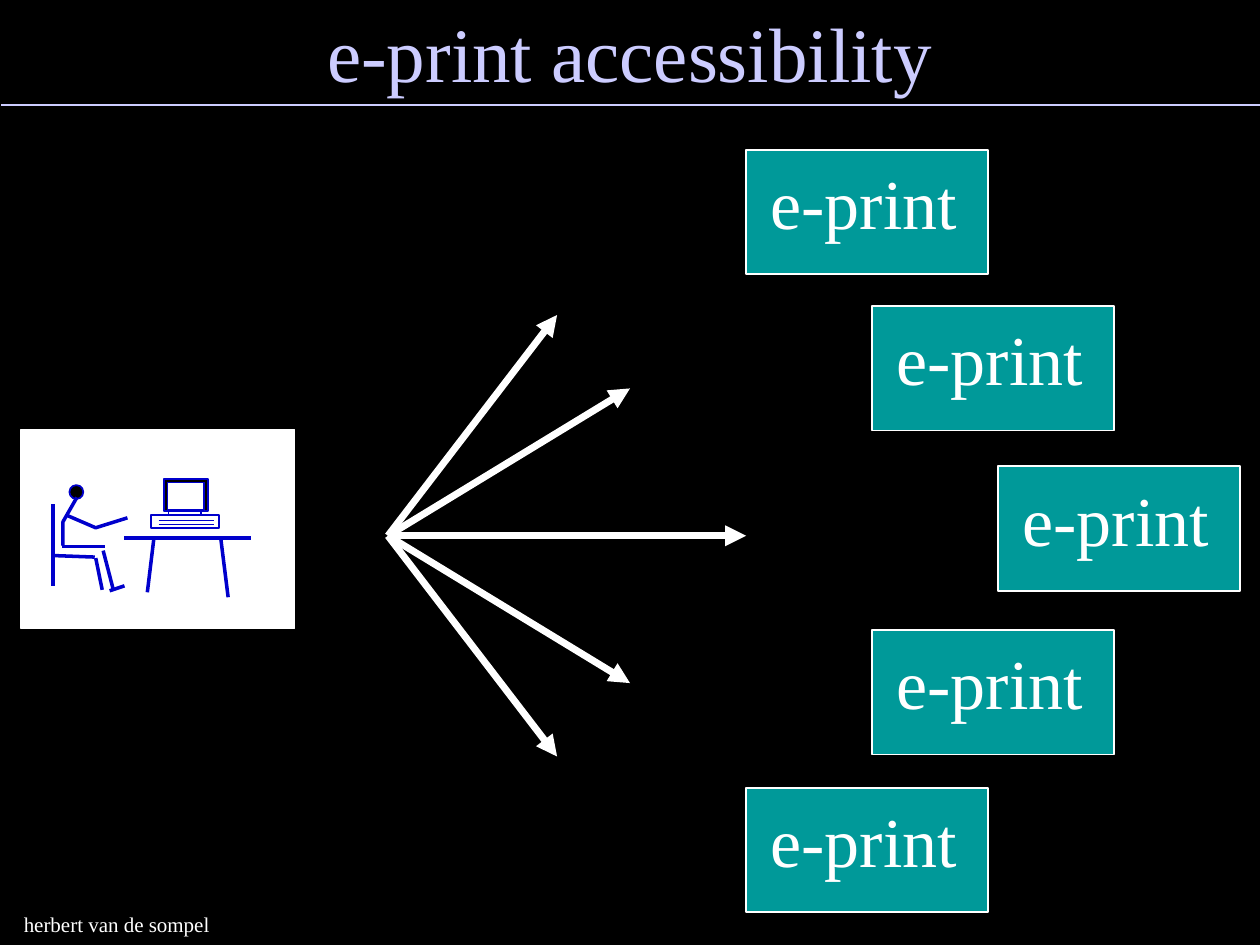
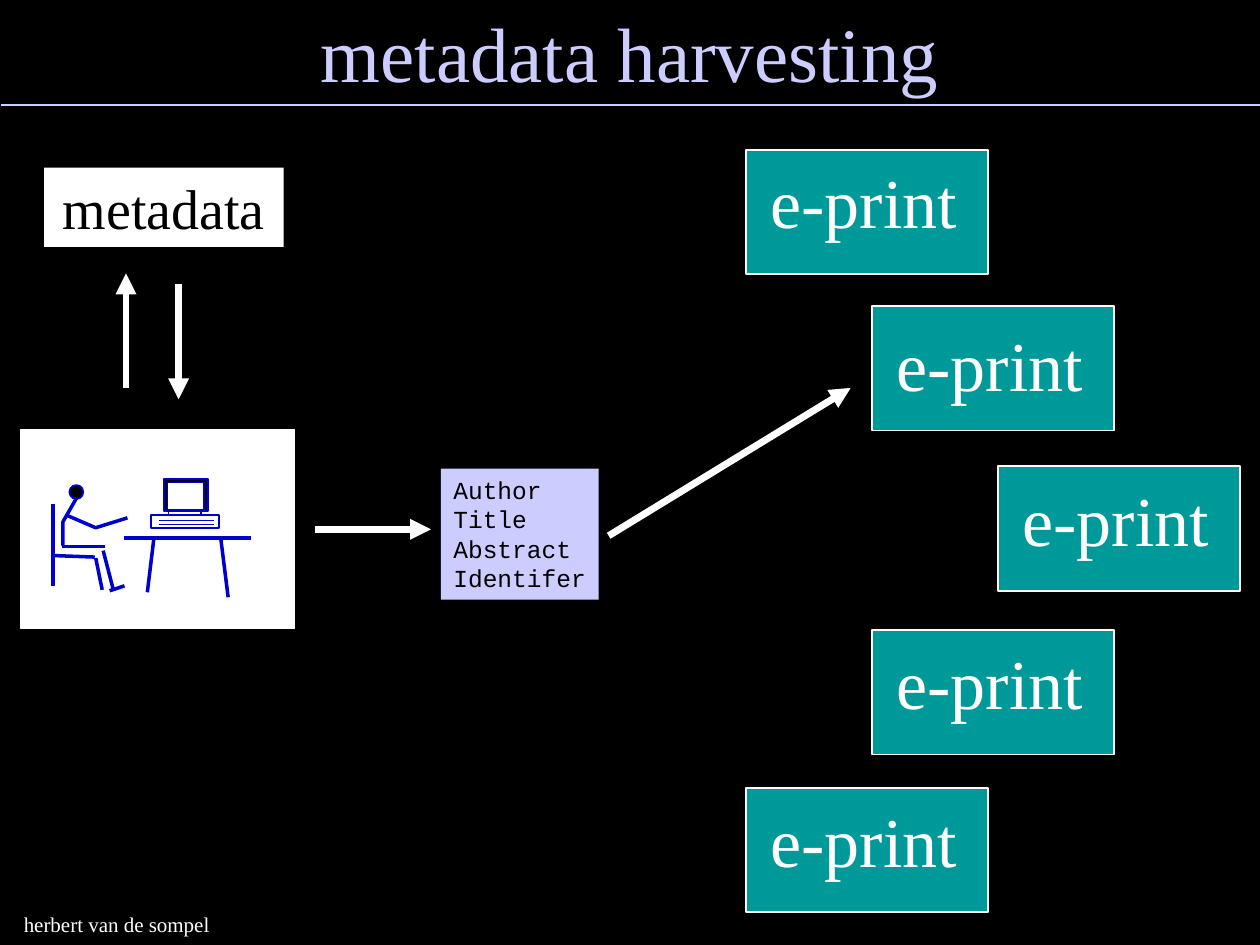
from lxml import etree
from pptx import Presentation
from pptx.dml.color import RGBColor
from pptx.enum.shapes import MSO_CONNECTOR, MSO_SHAPE
from pptx.enum.text import MSO_ANCHOR, PP_ALIGN
from pptx.oxml.ns import qn
from pptx.util import Cm, Pt

STRAIGHT = MSO_CONNECTOR.STRAIGHT
RECTANGLE, OVAL = MSO_SHAPE.RECTANGLE, MSO_SHAPE.OVAL
TOP, MIDDLE = MSO_ANCHOR.TOP, MSO_ANCHOR.MIDDLE
LEFT, CENTER = PP_ALIGN.LEFT, PP_ALIGN.CENTER

COLORS = {
    "black": "000000",
    "white": "FFFFFF",
    "lavender": "CCCCFF",
    "teal": "009999",
    "ink": "0000CC",
}
SERIF, MONO = "Times New Roman", "Courier New"

SLIDE_WIDTH, SLIDE_HEIGHT = 25.4, 19.05
EPRINT_WIDTH, EPRINT_HEIGHT = 4.88, 2.51
EPRINT_LEFT, EPRINT_STEP = 15.04, 2.54
EPRINT_TOPS = (3.02, 6.17, 9.4, 12.7, 15.88)
EPRINT_STEPS = (0, 1, 2, 1, 0)
FAN_ORIGIN = (7.82, 10.8)
FAN_REACH = ((3.41, -4.45), (4.88, -2.97), (7.22, 0), (4.88, 2.97), (3.41, 4.45))

# Rectangles of the computer: left, top, width, height, fill
COMPUTER_PARTS = (
    (3.4, 10.19, 0.66, 0.38, "white"),
    (3.05, 10.39, 1.37, 0.25, "white"),
    (3.3, 9.65, 0.89, 0.66, "black"),
    (3.38, 9.73, 0.74, 0.56, "white"),
)
KEYBOARD_LINES = (
    ((3.2, 10.49), (4.32, 10.49)),
    ((3.2, 10.57), (4.32, 10.57)),
)
DESK_LINES = (
    ((2.51, 10.85), (5.05, 10.85)),
    ((3.1, 10.87), (2.97, 11.94)),
    ((4.6, 12.04), (4.45, 10.85)),
)
CHAIR_LINES = (
    ((1.07, 10.16), (1.07, 11.81)),
    ((1.07, 11.2), (1.91, 11.23)),
    ((1.93, 11.25), (2.06, 11.89)),
)
LEG_LINES = (
    ((1.24, 11.02), (2.11, 11.02)),
    ((2.08, 11.1), (2.29, 11.91)),
    ((2.21, 11.91), (2.51, 11.81)),
)
TORSO = ((1.55, 10.03), (1.27, 10.52), (1.27, 11.0))
ARM = ((1.35, 10.39), (1.93, 10.64), (2.57, 10.44))


def rgb(color):
    return RGBColor.from_string(COLORS[color])


def set_line(shape, color, width):
    shape.line.color.rgb = rgb(color)
    shape.line.width = Pt(width)


def add_box(shapes, left, top, width, height, fill, line=None, kind=RECTANGLE):
    box = shapes.add_shape(kind, Cm(left), Cm(top), Cm(width), Cm(height))
    box.shadow.inherit = False
    box.fill.solid()
    box.fill.fore_color.rgb = rgb(fill)
    if line:
        set_line(box, line, 1)
    else:
        box.line.fill.background()
    return box


def write(shape, lines, size, color, align=LEFT, anchor=TOP, font=SERIF, wrap=True):
    frame = shape.text_frame
    frame.word_wrap = wrap
    frame.vertical_anchor = anchor
    frame.text = "\n".join(lines)
    for paragraph in frame.paragraphs:
        paragraph.alignment = align
        paragraph.font.name = font
        paragraph.font.size = Pt(size)
        paragraph.font.color.rgb = rgb(color)


def add_line(shapes, start, end, color, width, arrow=False):
    """Draw a straight line, with an arrowhead at its end if wanted."""
    points = [Cm(value) for value in (*start, *end)]
    line = shapes.add_connector(STRAIGHT, *points)
    set_line(line, color, width)
    if arrow:
        etree.SubElement(line.line._get_or_add_ln(), qn("a:tailEnd"), type="triangle")
    etree.SubElement(line._element.spPr, qn("a:effectLst"))


def add_arrow(slide, start, end):
    add_line(slide.shapes, start, end, "white", 4, arrow=True)


def add_polyline(shapes, points):
    first, *others = [(Cm(x), Cm(y)) for x, y in points]
    builder = shapes.build_freeform(*first)
    builder.add_line_segments(others, close=False)
    polyline = builder.convert_to_shape()
    polyline.shadow.inherit = False
    polyline.fill.background()
    set_line(polyline, "ink", 2)


def add_workstation(slide):
    """Draw a reader seated at a desk with a computer."""
    shapes = slide.shapes.add_group_shape().shapes
    add_box(shapes, 0.43, 8.66, 5.51, 4.01, "white", "white")
    for *bounds, fill in COMPUTER_PARTS:
        add_box(shapes, *bounds, fill, "ink")
    for start, end in KEYBOARD_LINES:
        add_line(shapes, start, end, "ink", 0.75)
    add_box(shapes, 1.4, 9.78, 0.28, 0.28, "black", "ink", OVAL)
    for start, end in DESK_LINES + CHAIR_LINES + LEG_LINES:
        add_line(shapes, start, end, "ink", 2)
    for points in (TORSO, ARM):
        add_polyline(shapes, points)


def add_eprint(slide, left, top, label_top):
    box = add_box(slide.shapes, left, top, EPRINT_WIDTH, EPRINT_HEIGHT, "teal", "white")
    write(box, ["e-print"], 40, "white", CENTER)
    frame = box.text_frame
    frame.margin_left, frame.margin_right = Cm(0.2), Cm(0.33)
    frame.margin_top = Cm(label_top)


def add_eprints(slide, label_tops=(0.2,) * 5):
    for step, top, label_top in zip(EPRINT_STEPS, EPRINT_TOPS, label_tops):
        add_eprint(slide, EPRINT_LEFT + step * EPRINT_STEP, top, label_top)


def add_text(slide, left, top, width, height, text, size, color, **style):
    box = slide.shapes.add_textbox(Cm(left), Cm(top), Cm(width), Cm(height))
    write(box, [text], size, color, **style)


def add_slide(presentation, title):
    """Add a black slide with the title, rule, footer and workstation."""
    slide = presentation.slides.add_slide(presentation.slide_layouts[6])
    slide.background.fill.solid()
    slide.background.fill.fore_color.rgb = rgb("black")
    add_text(slide, 0, 0.41, SLIDE_WIDTH, 1.27, title, 44, "lavender",
             align=CENTER, anchor=MIDDLE)
    add_line(slide.shapes, (0.03, 2.11), (SLIDE_WIDTH, 2.11), "lavender", 1)
    add_text(slide, 0.23, 18.26, 5, 0.76, "herbert van de sompel", 12, "white")
    add_workstation(slide)
    return slide


def build_accessibility(presentation):
    slide = add_slide(presentation, "e-print accessibility")
    x, y = FAN_ORIGIN
    for across, down in FAN_REACH:
        add_arrow(slide, FAN_ORIGIN, (x + across, y + down))
    add_eprints(slide)


def build_harvesting(presentation):
    slide = add_slide(presentation, "metadata harvesting")
    metadata = add_box(slide.shapes, 0.89, 3.38, 4.83, 1.6, "white")
    write(metadata, ["metadata"], 32, "black", CENTER)
    record = add_box(slide.shapes, 8.89, 9.45, 3.18, 2.64, "lavender")
    write(record, ["Author", "Title", "Abstract", "Identifer"], 14, "black",
          font=MONO, wrap=False)
    add_arrow(slide, (2.54, 7.82), (2.54, 5.51))
    add_arrow(slide, (3.6, 5.72), (3.6, 8.05))
    add_arrow(slide, (6.35, 10.67), (8.69, 10.67))
    add_arrow(slide, (12.27, 10.8), (17.15, 7.82))
    add_eprints(slide, label_tops=(0.17, 0.31, 0.2, 0.2, 0.2))


def main():
    presentation = Presentation()
    presentation.slide_width = Cm(SLIDE_WIDTH)
    presentation.slide_height = Cm(SLIDE_HEIGHT)
    build_accessibility(presentation)
    build_harvesting(presentation)
    presentation.save("out.pptx")


if __name__ == "__main__":
    main()
